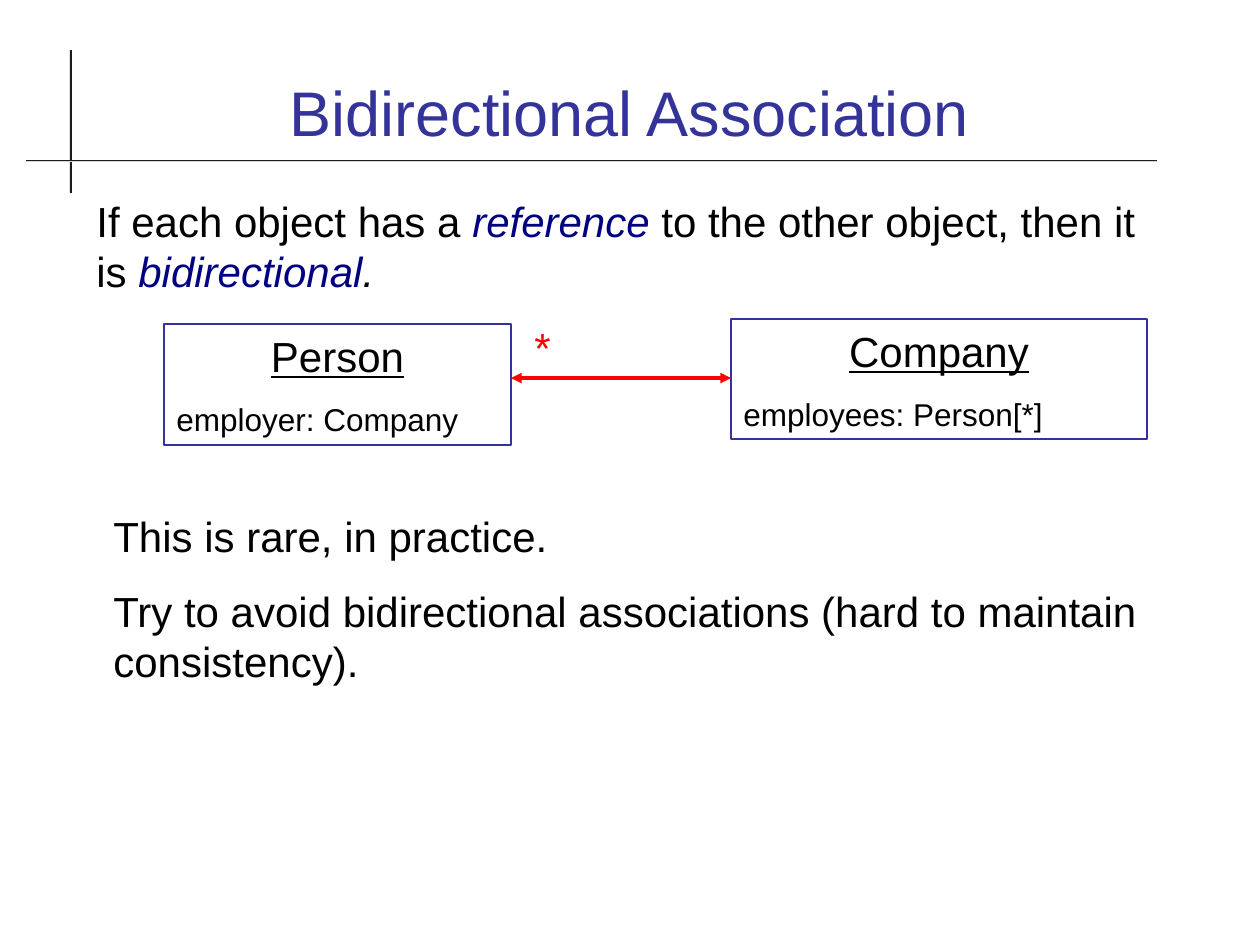
from lxml import etree
from pptx import Presentation
from pptx.dml.color import RGBColor
from pptx.enum.shapes import MSO_CONNECTOR, MSO_SHAPE
from pptx.enum.text import MSO_ANCHOR, PP_ALIGN
from pptx.oxml.ns import qn
from pptx.util import Pt

RECT, STRAIGHT = MSO_SHAPE.RECTANGLE, MSO_CONNECTOR.STRAIGHT
TOP, BOTTOM = MSO_ANCHOR.TOP, MSO_ANCHOR.BOTTOM
LEFT, CENTER = PP_ALIGN.LEFT, PP_ALIGN.CENTER


class Theme:
    font = "Arial"
    title_size, body_size, field_size = 36, 24, 18
    accent = RGBColor(0x33, 0x33, 0x99)
    term = RGBColor(0x00, 0x00, 0x80)
    ink = RGBColor(0x00, 0x00, 0x00)
    link = RGBColor(0xFF, 0x00, 0x00)
    rule = RGBColor(0x1C, 0x1C, 0x1C)
    paper = RGBColor(0xFF, 0xFF, 0xFF)


# Content: boxes are (left, top, width, height) in px
TITLE = "Bidirectional Association"
TITLE_BOX = (84, 35, 1091, 120)
DEFINITION = [  # (text, is a term, is italic)
    ("If each object has a ", False, False),
    ("reference", True, True),
    (" to the other object, then it is ", False, False),
    ("bidirectional", True, True),
    (".", False, True),
]
DEFINITION_BOX = (84, 189, 1091, 126)
CLASSES = [
    ("Person", "employer: Company", (164, 324, 347, 121)),
    ("Company", "employees: Person[*]", (731, 319, 416, 120)),
]
LINK_Y = 378
MULTIPLICITY = "*"
MULTIPLICITY_BOX = (522, 315, 105, 63)
ADVICE = [
    "This is rare, in practice.",
    "Try to avoid bidirectional associations (hard to maintain consistency).",
]
ADVICE_BOX = (101, 504, 1058, 113)
VERTICAL_RULE = (70, 50, 2, 143)
HORIZONTAL_RULE = (26, 160, 1131, 2)

EMU_PER_PX = 914400 / 126


def px(*lengths):
    return [round(length * EMU_PER_PX) for length in lengths]


def style(paragraph, size, color=Theme.ink, align=LEFT, before=0):
    paragraph.alignment = align
    paragraph.space_before = Pt(before)
    font = paragraph.font
    font.name, font.size, font.color.rgb = Theme.font, Pt(size), color
    return font


def add_text(slide, box, lines, size=Theme.body_size, color=Theme.ink,
             align=LEFT, anchor=TOP, gap=0):
    frame = slide.shapes.add_textbox(*px(*box)).text_frame
    frame.word_wrap = True
    frame.vertical_anchor = anchor
    frame.text = "\n".join(lines)
    for i, paragraph in enumerate(frame.paragraphs):
        style(paragraph, size, color, align, gap if i else 0)
    return frame


def add_rect(slide, box):
    rect = slide.shapes.add_shape(RECT, *px(*box))
    rect.shadow.inherit = False
    return rect


def add_class(slide, name, field, box):
    rect = add_rect(slide, box)
    rect.fill.background()
    rect.line.color.rgb = Theme.accent
    rect.line.width = Pt(1)
    frame = rect.text_frame
    frame.word_wrap = True
    frame.vertical_anchor = TOP
    frame.text = f"{name}\n{field}"
    heading, attribute = frame.paragraphs
    style(heading, Theme.body_size, align=CENTER).underline = True
    style(attribute, Theme.field_size, before=11.2)
    return rect


def add_link(slide, start, end, y):
    link = slide.shapes.add_connector(STRAIGHT, *px(start, y, end, y))
    link.line.color.rgb = Theme.link
    link.line.width = Pt(2)
    outline = link.line._get_or_add_ln()
    for tip in ("a:headEnd", "a:tailEnd"):
        etree.SubElement(outline, qn(tip), type="triangle")
    etree.SubElement(outline.getparent(), qn("a:effectLst"))


def main():
    prs = Presentation()
    prs.slide_width, prs.slide_height = px(1260, 945)
    slide = prs.slides.add_slide(prs.slide_layouts[6])

    # Crossed rules behind the title
    vertical = add_rect(slide, VERTICAL_RULE)
    vertical.fill.solid()
    vertical.fill.fore_color.rgb = Theme.rule
    horizontal = add_rect(slide, HORIZONTAL_RULE)
    horizontal.fill.gradient()
    horizontal.fill.gradient_angle = 90
    for stop, color in zip(horizontal.fill.gradient_stops, (Theme.paper, Theme.rule)):
        stop.color.rgb = color
    for rule in (vertical, horizontal):
        rule.line.fill.background()

    # Title and definition
    add_text(slide, TITLE_BOX, [TITLE], Theme.title_size, Theme.accent, CENTER, BOTTOM)
    definition = add_text(slide, DEFINITION_BOX, [""]).paragraphs[0]
    for text, is_term, is_italic in DEFINITION:
        run = definition.add_run()
        run.text = text
        if is_term:
            run.font.color.rgb = Theme.term
        if is_italic:
            run.font.italic = True

    # Class diagram
    person, company = [add_class(slide, *entry) for entry in CLASSES]
    add_link(slide, (person.left + person.width) / EMU_PER_PX,
             company.left / EMU_PER_PX, LINK_Y)
    add_text(slide, MULTIPLICITY_BOX, [MULTIPLICITY], color=Theme.link)

    # Advice
    add_text(slide, ADVICE_BOX, ADVICE, gap=14.2)

    prs.save("out.pptx")


if __name__ == "__main__":
    main()
